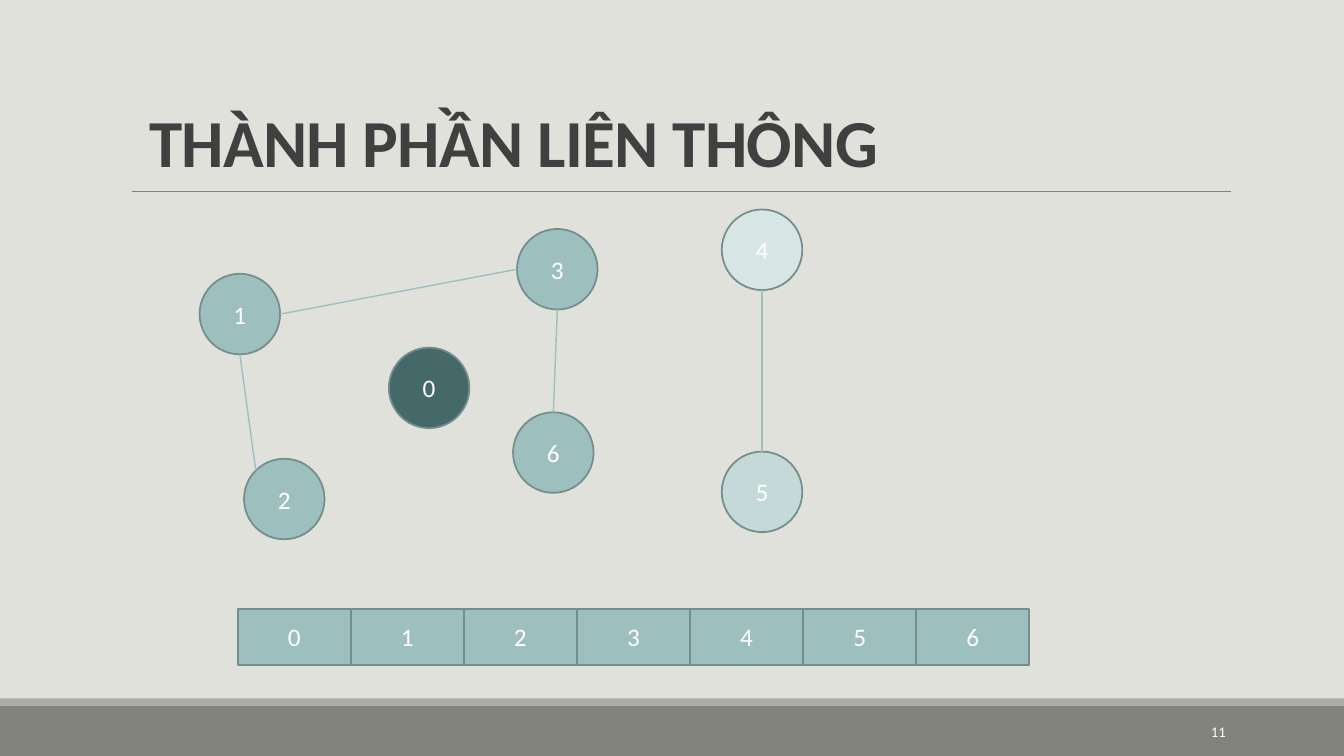
from pptx import Presentation
from pptx import util as u
from pptx.dml.color import RGBColor
from pptx.enum import shapes, text
from pptx.oxml.ns import qn
from lxml import etree

COLORS = {
    "background": "E1E1DB", "footer": "82847C", "footer_edge": "ACADA8",
    "rule": "808080", "title": "404040", "white": "FFFFFF",
    "teal": "9DBFBE", "dark": "456968", "light": "C4D9D8", "pale": "D8E5E5",
    "outline": "748D8D",
}
FONT = "Calibri"
TITLE = "THÀNH PHẦN LIÊN THÔNG"
PAGE_NUMBER = "11"

# Lengths in centimetres
PAGE_WIDTH, PAGE_HEIGHT = 33.87, 19.05
DIAMETER = 2.03
# label: (left, top, fill)
NODES = {
    "0": (9.8, 8.76, "dark"),
    "1": (5.03, 6.9, "teal"),
    "2": (6.15, 11.56, "teal"),
    "3": (13.03, 5.77, "teal"),
    "4": (18.19, 5.28, "pale"),
    "5": (18.19, 11.38, "light"),
    "6": (12.93, 10.39, "teal"),
}
# (from node, side, to node, side)
EDGES = [
    ("1", "bottom", "2", "top_left"),
    ("4", "bottom", "5", "top"),
    ("1", "right", "3", "left"),
    ("3", "bottom", "6", "top"),
]
# Share of the diameter across and down
SIDES = {
    "top": (0.5, 0), "bottom": (0.5, 1), "left": (0, 0.5), "right": (1, 0.5),
    "top_left": (0.146, 0.146),
}
ARRAY_LABELS = ["0", "1", "2", "3", "4", "5", "6"]
ARRAY_LEFT, ARRAY_TOP, CELL_WIDTH, CELL_HEIGHT = 5.99, 15.34, 2.85, 1.42


def color(name):
    return RGBColor.from_string(COLORS[name])


def write(shape, words, size=18, ink="white", bold=False, spacing=None, line_spacing=None,
          align=text.PP_ALIGN.CENTER, anchor=text.MSO_ANCHOR.MIDDLE):
    frame = shape.text_frame
    frame.word_wrap = True
    frame.vertical_anchor = anchor
    para = frame.paragraphs[0]
    para.alignment = align
    if line_spacing:
        para.line_spacing = line_spacing
    span = para.add_run()
    span.text = words
    span.font.name = FONT
    span.font.size = u.Pt(size)
    span.font.bold = bold
    span.font.color.rgb = color(ink)
    if spacing is not None:
        span.font._element.set("spc", str(round(spacing * 100)))


def add_box(page, box, words, **format):
    write(page.shapes.add_textbox(*map(u.Cm, box)), words, **format)


def add_block(page, kind, box, fill, outline=None):
    shape = page.shapes.add_shape(kind, *map(u.Cm, box))
    shape.shadow.inherit = False
    shape.fill.solid()
    shape.fill.fore_color.rgb = color(fill)
    if outline:
        shape.line.color.rgb = color(outline)
        shape.line.width = u.Pt(1.25)
    else:
        shape.line.fill.background()
    return shape


def add_line(page, start, end, ink, width):
    line = page.shapes.add_connector(shapes.MSO_CONNECTOR.STRAIGHT, *map(u.Cm, (*start, *end)))
    line.line.color.rgb = color(ink)
    line.line.width = u.Pt(width)
    etree.SubElement(line._element.spPr, qn("a:effectLst"))


def node_point(label, side):
    left, top, _ = NODES[label]
    across, down = SIDES[side]
    return left + across * DIAMETER, top + down * DIAMETER


def main():
    deck = Presentation()
    deck.slide_width, deck.slide_height = u.Cm(PAGE_WIDTH), u.Cm(PAGE_HEIGHT)
    page = deck.slides.add_slide(deck.slide_layouts[6])
    page.background.fill.solid()
    page.background.fill.fore_color.rgb = color("background")

    rectangle = shapes.MSO_SHAPE.RECTANGLE
    add_block(page, rectangle, (0, 17.78, PAGE_WIDTH, 1.27), "footer")
    add_block(page, rectangle, (0, 17.6, PAGE_WIDTH, 0.18), "footer_edge")
    add_line(page, (3.33, 4.82), (31.01, 4.82), "rule", 0.5)
    add_box(page, (3.51, 1.02, 26.92, 3.68), TITLE, size=48, ink="title", bold=True,
            spacing=-0.5, line_spacing=0.85, align=text.PP_ALIGN.LEFT,
            anchor=text.MSO_ANCHOR.BOTTOM)
    add_box(page, (27.51, 17.93, 3.63, 1.02), PAGE_NUMBER, size=10.5,
            align=text.PP_ALIGN.RIGHT)

    for label, (left, top, fill) in NODES.items():
        node = add_block(page, shapes.MSO_SHAPE.OVAL, (left, top, DIAMETER, DIAMETER),
                         fill, "outline")
        write(node, label)
    for first, first_side, second, second_side in EDGES:
        add_line(page, node_point(first, first_side), node_point(second, second_side),
                 "teal", 1)

    for index, label in enumerate(ARRAY_LABELS):
        left = ARRAY_LEFT + index * CELL_WIDTH
        cell = add_block(page, rectangle, (left, ARRAY_TOP, CELL_WIDTH, CELL_HEIGHT),
                         "teal", "outline")
        write(cell, label)

    deck.save("out.pptx")


if __name__ == "__main__":
    main()
